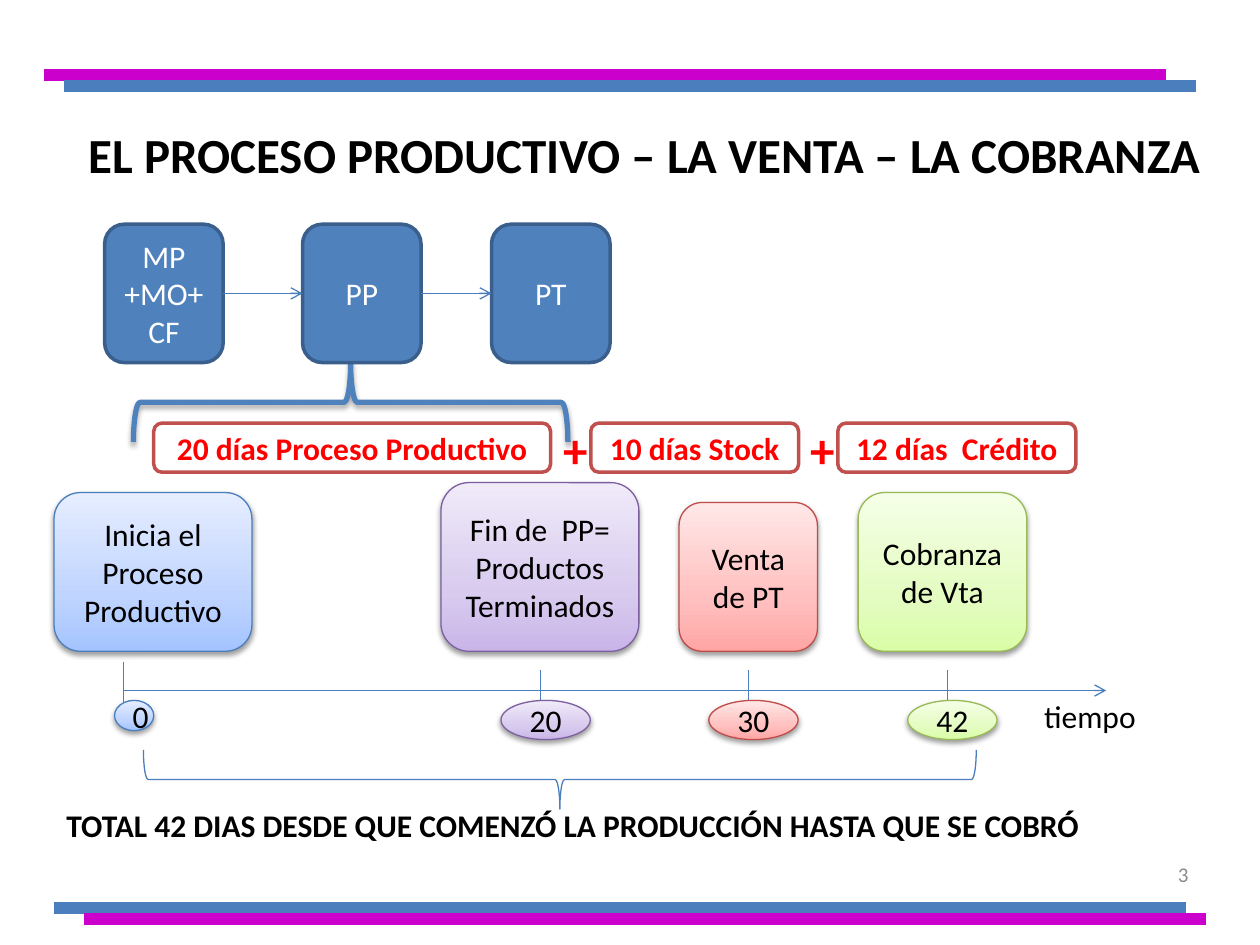
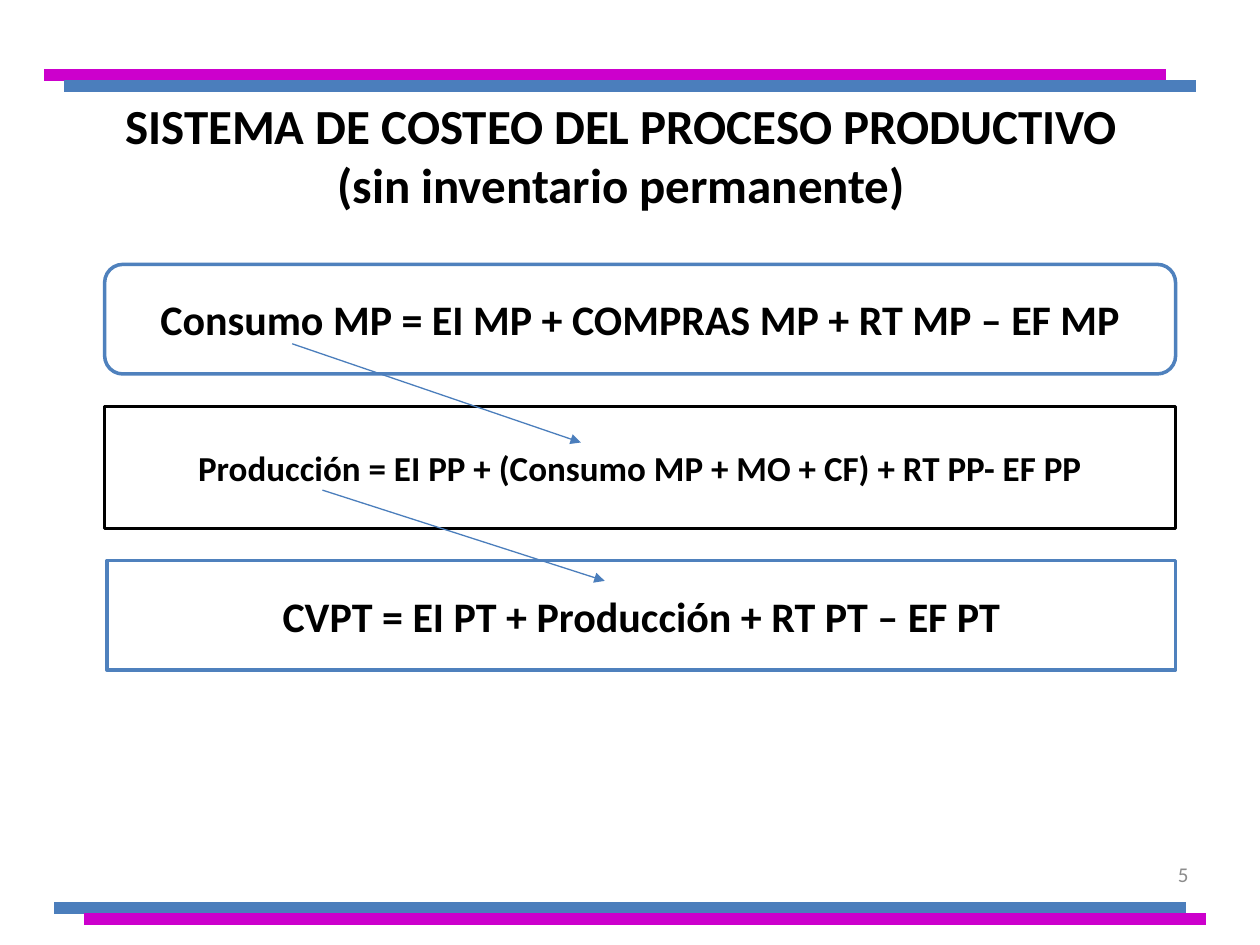
"""Build two slides on the production cycle and its costing formulas."""
from dataclasses import dataclass

import lxml.etree
import pptx
import pptx.dml.color
import pptx.enum.shapes
import pptx.enum.text
import pptx.oxml.ns
import pptx.util

Cm = pptx.util.Cm
Pt = pptx.util.Pt
qn = pptx.oxml.ns.qn
Kind = pptx.enum.shapes.MSO_SHAPE
Align = pptx.enum.text.PP_ALIGN
Anchor = pptx.enum.text.MSO_ANCHOR


@dataclass(frozen=True)
class Tint:
    line: str
    stops: tuple


@dataclass(frozen=True)
class Theme:
    font: str = "Calibri"
    black: str = "000000"
    white: str = "FFFFFF"
    gray: str = "8C8C8C"
    red: str = "FF0000"
    brick: str = "C0504D"
    blue: str = "4F81BD"
    navy: str = "3A5F8C"
    steel: str = "4B7EBC"
    magenta: str = "CC00CC"
    title: int = 28
    formula: int = 24
    small_formula: int = 20
    body: int = 18
    number: int = 12
    thin: float = 0.75
    outline: float = 2
    brace: float = 3
    band: float = 6.75
    sky: Tint = Tint("4B7EBC", ("A4C4FF", "BFD4FF", "E6EEFF"))
    violet: Tint = Tint("7D60A0", ("C9B5E8", "D8CBEE", "F0EAF9"))
    rose: Tint = Tint("BF4C48", ("FFA6A5", "FFC0BF", "FFE7E7"))
    lime: Tint = Tint("98B955", ("DAFDA7", "E4FCC2", "F5FFE7"))


THEME = Theme()


def rgb(color):
    return pptx.dml.color.RGBColor.from_string(color)


class Deck:
    """Hold the theme and the current slide, and draw each kind of element."""

    def __init__(self, theme):
        self.theme = theme
        self.presentation = pptx.Presentation()
        self.presentation.slide_width = Cm(25.4)
        self.presentation.slide_height = Cm(19.05)
        self.slide = None

    def start_slide(self, number, title, title_width):
        theme = self.theme
        self.slide = self.presentation.slides.add_slide(self.presentation.slide_layouts[6])
        for left, right, y, color in (
            (1.09, 23.9, 18.31, theme.steel),
            (1.7, 24.31, 18.52, theme.magenta),
            (0.89, 23.5, 1.52, theme.magenta),
            (1.3, 24.1, 1.73, theme.steel),
        ):
            self.line((left, y), (right, y), color, theme.band)
        self.text((18.29, 17.12, 5.92, 1.02), number, theme.number, theme.gray,
                  align=Align.RIGHT, anchor=Anchor.MIDDLE)
        self.text((1.09, 1.52, title_width, 3.18), title, theme.title, bold=True,
                  align=Align.CENTER, anchor=Anchor.MIDDLE)

    def fill_text(self, shape, text, size, color, bold, align, anchor):
        frame = shape.text_frame
        frame.text = text
        frame.word_wrap = True
        frame.vertical_anchor = anchor
        values = {"name": self.theme.font, "size": Pt(size), "bold": bold}
        for paragraph in frame.paragraphs:
            paragraph.alignment = align
            for run in paragraph.runs:
                for name, value in values.items():
                    setattr(run.font, name, value)
                run.font.color.rgb = rgb(color)

    def text(self, box, text, size, color=THEME.black, bold=False,
             align=Align.LEFT, anchor=Anchor.TOP):
        shape = self.slide.shapes.add_textbox(*map(Cm, box))
        self.fill_text(shape, text, size, color, bold, align, anchor)

    def shape(self, kind, box, line, width, fill=None, text="", size=THEME.body,
              color=THEME.black, bold=False, adjustments=()):
        shape = self.slide.shapes.add_shape(kind, *map(Cm, box))
        for index, value in enumerate(adjustments):
            shape.adjustments[index] = value
        if fill:
            shape.fill.solid()
            shape.fill.fore_color.rgb = rgb(fill)
        else:
            shape.fill.background()
        shape.line.color.rgb = rgb(line)
        shape.line.width = Pt(width)
        shape.shadow.inherit = False
        if text:
            self.fill_text(shape, text, size, color, bold, Align.CENTER, Anchor.MIDDLE)
        return shape

    def tinted(self, kind, box, tint, text):
        shape = self.shape(kind, box, tint.line, self.theme.thin, text=text)
        shape.fill.gradient()
        shape.fill.gradient_angle = 90
        stops = next(shape._element.iter(qn("a:gsLst")))
        stops.clear()
        for position, color in zip((0, 35000, 100000), tint.stops):
            stop = lxml.etree.SubElement(stops, qn("a:gs"), pos=str(position))
            lxml.etree.SubElement(stop, qn("a:srgbClr"), val=color)
        self.cast_shadow(shape, 1.6, 38)

    def cast_shadow(self, shape, distance, opacity):
        effects = shape._element.spPr.find(qn("a:effectLst"))
        shadow = lxml.etree.SubElement(
            effects, qn("a:outerShdw"), blurRad=str(Pt(3.1)), dist=str(Pt(distance)),
            dir="5400000", rotWithShape="0")
        color = lxml.etree.SubElement(shadow, qn("a:srgbClr"), val=self.theme.black)
        lxml.etree.SubElement(color, qn("a:alpha"), val=str(opacity * 1000))

    def brace(self, box, rotation, color, width, adjustments=()):
        shape = self.shape(Kind.RIGHT_BRACE, box, color, width, adjustments=adjustments)
        shape.rotation = rotation
        return shape

    def line(self, start, end, color=THEME.steel, width=THEME.thin, head=None):
        connector = self.slide.shapes.add_connector(
            pptx.enum.shapes.MSO_CONNECTOR.STRAIGHT, *map(Cm, (*start, *end)))
        connector.line.color.rgb = rgb(color)
        connector.line.width = Pt(width)
        properties = connector._element.spPr
        if head:
            lxml.etree.SubElement(properties.find(qn("a:ln")), qn("a:tailEnd"), type=head)
        lxml.etree.SubElement(properties, qn("a:effectLst"))
        return connector

    def join(self, first, second):
        connector = self.line((0, 0), (0, 0), head="arrow")
        connector.begin_connect(first, 3)
        connector.end_connect(second, 1)


def build_timeline(deck):
    theme = deck.theme
    deck.start_slide("3", "EL PROCESO PRODUCTIVO – LA VENTA – LA COBRANZA", 23.8)

    axis_y, day_top, box_bottom = 13.92, 14.12, 13.13
    deck.line((2.49, axis_y), (22.3, axis_y), head="arrow")
    deck.text((20.8, axis_y, 4.6, 1.02), "tiempo", theme.body)

    day_size = (0.8, 1.8, 0.79)
    first_day_size = (0.18, 0.79, 0.61)
    tick = (13.51, day_top)
    for text, tint, left, top, width, day, x, (offset, day_width, day_height), (start, end) in (
        ("Inicia el Proceso Productivo", theme.sky, 1.09, 9.93, 3.99,
         "0", 2.49, first_day_size, (13.34, 14.33)),
        ("Fin de  PP= Productos Terminados", theme.violet, 8.89, 9.73, 3.99,
         "20", 10.9, day_size, tick),
        ("Venta de PT", theme.rose, 13.69, 10.13, 2.79, "30", 15.09, day_size, tick),
        ("Cobranza de Vta", theme.lime, 17.3, 9.93, 3.4, "42", 19.1, day_size, tick),
    ):
        deck.line((x, start), (x, end))
        deck.tinted(Kind.ROUNDED_RECTANGLE, (left, top, width, box_bottom - top), tint, text)
        deck.tinted(Kind.OVAL, (x - offset, day_top, day_width, day_height), tint, day)

    process_brace = deck.brace((6.27, 3.73, 1.6, 8.76), 270, theme.blue, theme.brace)
    deck.cast_shadow(process_brace, 1.8, 35)

    stages = [
        deck.shape(Kind.ROUNDED_RECTANGLE, (left, 4.52, 2.39, 2.79), theme.navy,
                   theme.outline, theme.blue, text, color=theme.white)
        for left, text in ((2.11, "MP\n+MO+CF"), (6.1, "PP"), (9.91, "PT"))
    ]
    for first, second in zip(stages, stages[1:]):
        deck.join(first, second)

    for index, (left, width, text) in enumerate((
        (3.1, 8, "20 días Proceso Productivo"),
        (11.91, 4.19, "10 días Stock"),
        (16.89, 4.8, "12 días  Crédito"),
    )):
        if index:
            deck.text((left - 0.8, 8.33, 1.8, 1.45), "+", theme.title, theme.red, True)
        deck.shape(Kind.ROUNDED_RECTANGLE, (left, 8.53, width, 0.99), theme.brick,
                   theme.outline, theme.white, text, color=theme.red, bold=True)

    deck.brace((10.69, 7.32, 1.19, 16.79), 90, theme.steel, theme.thin, (0.08, 0.5))
    deck.text((1.09, 16.13, 21.59, 1.02),
              "TOTAL 42 DIAS DESDE QUE COMENZÓ LA PRODUCCIÓN HASTA QUE SE COBRÓ",
              theme.body, bold=True)


def build_formulas(deck):
    theme = deck.theme
    deck.start_slide(
        "5", "SISTEMA DE COSTEO DEL PROCESO PRODUCTIVO\n(sin inventario permanente)", 22.86)
    right = 23.7
    for left, top, height, kind, line, size, text in (
        (2.11, 5.33, 2.21, Kind.ROUNDED_RECTANGLE, theme.blue, theme.formula,
         "Consumo MP = EI MP + COMPRAS MP + RT MP – EF MP"),
        (2.11, 8.2, 2.46, Kind.RECTANGLE, theme.black, theme.small_formula,
         "Producción = EI PP + (Consumo MP + MO + CF) + RT PP- EF PP"),
        (2.16, 11.3, 2.21, Kind.RECTANGLE, theme.blue, theme.formula,
         "CVPT = EI PT + Producción + RT PT – EF PT"),
    ):
        deck.shape(kind, (left, top, right - left, height), line, theme.outline,
                   theme.white, text, size, bold=True)
    for start, end in (((5.89, 6.93), (11.71, 8.92)), ((6.5, 9.88), (12.19, 11.71))):
        deck.line(start, end, head="triangle")


def main():
    deck = Deck(THEME)
    build_timeline(deck)
    build_formulas(deck)
    deck.presentation.save("out.pptx")


if __name__ == "__main__":
    main()
